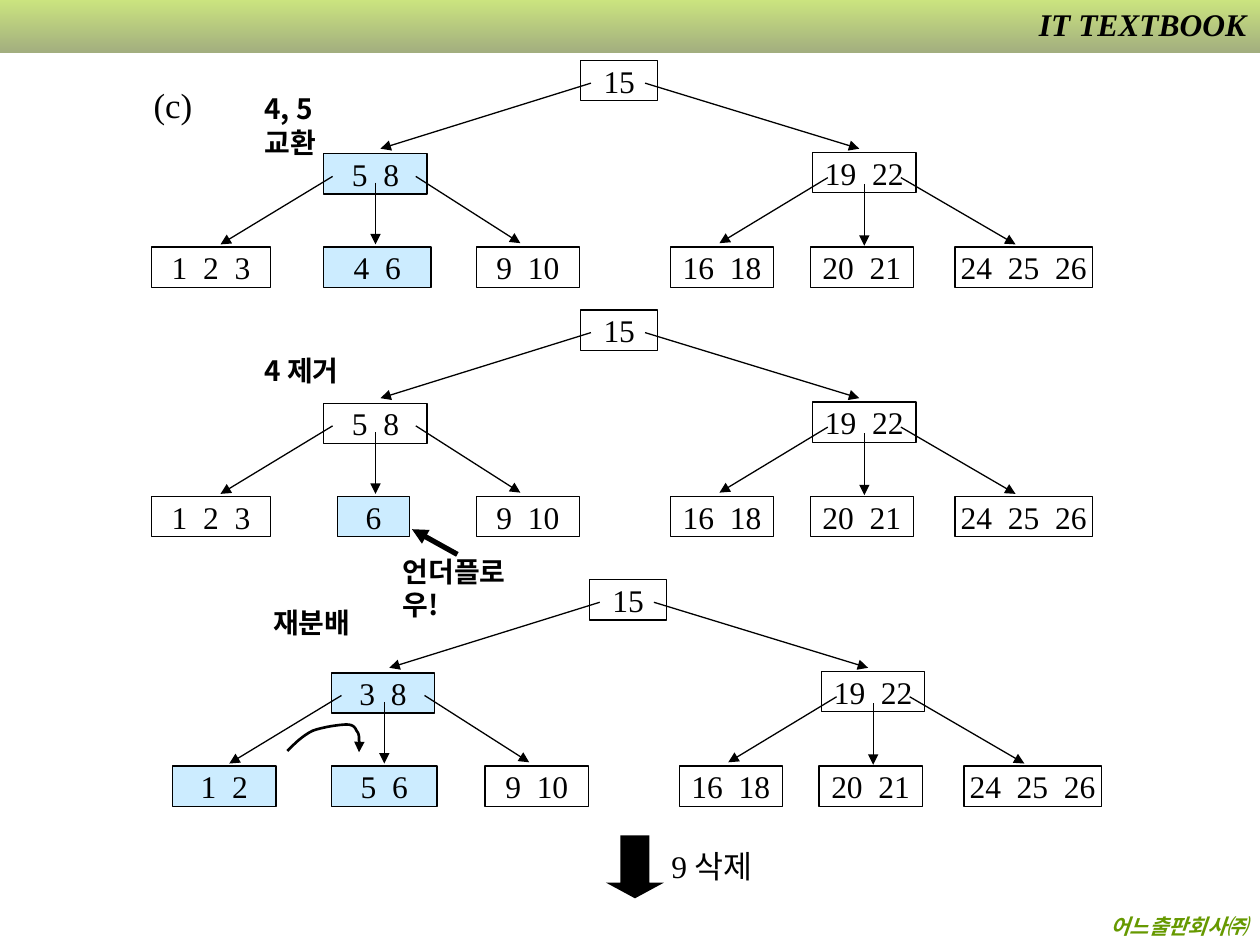
import pptx
import pptx.util
import pptx.dml.color
import pptx.enum.shapes
import pptx.enum.text
import pptx.oxml
import pptx.oxml.ns

COLUMNS, ROWS = 100, 75
WIDTH, HEIGHT = pptx.util.Inches(10), pptx.util.Inches(7.5)
LATIN, KOREAN = "Times New Roman", "Noto Sans CJK KR"
BLACK, HIGHLIGHT = "000000", "CCECFF"
SHAPES = pptx.enum.shapes.MSO_SHAPE
ALIGN = pptx.enum.text.PP_ALIGN
NODE_HEIGHT = 3.2
FIXED_NODES = [
    ("15", 46.1, 4.8, 6.1), ("19  22", 64.5, 12.1, 8.2),
    ("9  10", 37.8, 19.6, 8.2), ("16  18", 53.2, 19.6, 8.2),
    ("20  21", 64.3, 19.6, 8.2), ("24  25  26", 75.8, 19.6, 10.9),
]
BRANCHES = [
    (46.9, 6.6, 30.2, 11.8), (51.2, 6.6, 68.2, 11.8),
    (26.4, 14, 17.5, 19.4), (29.8, 14.5, 29.8, 19.4), (33, 14, 41.3, 19.3),
    (65.7, 14.1, 57.1, 19.3), (68.6, 14.6, 68.6, 19.5), (71.5, 14.1, 80.6, 19.4),
]
TREES = [
    (0, 0, [("5  8", 25.7, 12.2, 8.2, HIGHLIGHT), ("1  2  3", 12, 19.6, 9.5),
            ("4  6", 25.7, 19.6, 8.5, HIGHLIGHT)]),
    (0, 19.8, [("5  8", 25.7, 12.2, 8.2), ("1  2  3", 12, 19.6, 9.5),
               ("6", 26.8, 19.6, 5.7, HIGHLIGHT)]),
    (0.7, 41.2, [("3  8", 25.6, 12.2, 8.2, HIGHLIGHT), ("1  2", 13, 19.6, 8.2, HIGHLIGHT),
                 ("5  6", 25.6, 19.6, 8.4, HIGHLIGHT)]),
]
CAPTIONS = [("4, 5 교환", 20, 6.8, 9.5), ("4 제거", 20, 27.6, 9.5),
            ("재분배", 20.7, 47.6, 9), ("언더플로우!", 31, 43.5, 12)]
MOVE_CURVE = [
    (22.8, 59.6), (23.4, 59), (24, 58.4), (24.8, 58), (25.6, 57.7), (27, 57.5),
    (27.5, 57.5), (28.1, 57.5), (28.2, 57.8), (28.3, 58), (28.5, 58.2),
    (28.5, 58.5), (28.5, 58.8), (28.6, 59.1), (28.5, 59.4), (28.5, 59.7),
]


def across(columns):
    return round(WIDTH * columns / COLUMNS)


def down(rows):
    return round(HEIGHT * rows / ROWS)


def area(column, row, columns, rows):
    return across(column), down(row), across(columns), down(rows)


def colour(code):
    return pptx.dml.color.RGBColor.from_string(code)


def element(xml):
    return pptx.oxml.parse_xml(xml.replace(" ", f" {pptx.oxml.ns.nsdecls('a')} ", 1))


def write(frame, text, size=18, font=LATIN, code=BLACK, bold=False, italic=False,
          align=ALIGN.LEFT, shadow=False):
    para = frame.paragraphs[0]
    para.alignment = align
    span = para.add_run()
    span.text = text
    span.font.size = pptx.util.Pt(size)
    span.font.bold, span.font.italic = bold, italic
    span.font.color.rgb = colour(code)
    span.font.name = font
    properties = span._r.get_or_add_rPr()
    properties.append(element(f'<a:ea typeface="{KOREAN}"/>'))
    if shadow:
        properties.find(pptx.oxml.ns.qn("a:latin")).addprevious(element(
            '<a:effectLst ><a:outerShdw dist="17961" dir="2700000">'
            '<a:srgbClr val="FFFFFF"/></a:outerShdw></a:effectLst>'))


def add_text(page, text, place, wrap=True, **style):
    frame = page.shapes.add_textbox(*area(*place)).text_frame
    frame.word_wrap = wrap
    write(frame, text, **style)
    return frame


def add_block(page, kind, place, fill=None, outline=None):
    block = page.shapes.add_shape(kind, *area(*place))
    block.shadow.inherit = False
    if fill:
        block.fill.solid()
        block.fill.fore_color.rgb = colour(fill)
    else:
        block.fill.background()
    if outline:
        block.line.color.rgb = colour(BLACK)
        block.line.width = pptx.util.Pt(outline)
    else:
        block.line.fill.background()
    return block


def add_node(page, text, column, row, columns, fill=None):
    block = add_block(page, SHAPES.RECTANGLE, (column, row, columns, NODE_HEIGHT), fill, 0.75)
    block.text_frame.word_wrap = False
    block.text_frame.vertical_anchor = pptx.enum.text.MSO_ANCHOR.MIDDLE
    write(block.text_frame, text, align=ALIGN.CENTER)


def finish_arrow(arrow, weight):
    arrow.line.color.rgb = colour(BLACK)
    arrow.line.width = pptx.util.Pt(weight)
    arrow.line._get_or_add_ln().append(element('<a:tailEnd type="triangle"/>'))


def add_arrow(page, start_column, start_row, end_column, end_row, weight=0.75):
    arrow = page.shapes.add_connector(
        pptx.enum.shapes.MSO_CONNECTOR.STRAIGHT, across(start_column), down(start_row),
        across(end_column), down(end_row))
    finish_arrow(arrow, weight)
    arrow._element.spPr.append(element("<a:effectLst />"))


def add_tree(page, right, lower, nodes):
    for text, column, row, columns, *fill in FIXED_NODES + nodes:
        add_node(page, text, column + right, row + lower, columns, *fill)
    for x1, y1, x2, y2 in BRANCHES:
        add_arrow(page, x1 + right, y1 + lower, x2 + right, y2 + lower)


def add_curve(page, points, steps=8):
    sampled = []
    for first in range(0, len(points) - 1, 3):
        a, b, c, d = points[first:first + 4]
        for step in range(1, steps + 1):
            t = step / steps
            x, y = [(1 - t) ** 3 * p + 3 * (1 - t) ** 2 * t * q + 3 * (1 - t) * t ** 2 * r + t ** 3 * s
                    for p, q, r, s in zip(a, b, c, d)]
            sampled.append((across(x), down(y)))
    builder = page.shapes.build_freeform(across(points[0][0]), down(points[0][1]))
    builder.add_line_segments(sampled, close=False)
    curve = builder.convert_to_shape()
    curve.shadow.inherit = False
    curve.fill.background()
    finish_arrow(curve, 1.5)


def add_banner(page):
    banner = add_block(page, SHAPES.RECTANGLE, (0, 0, COLUMNS, 4.2))
    banner.fill.gradient()
    banner.fill.gradient_angle = 270
    for stop, code in zip(banner.fill.gradient_stops, ("99CC00", "475E00")):
        stop.color.rgb = colour(code)
    for shade in banner._element.spPr.iter(pptx.oxml.ns.qn("a:srgbClr")):
        shade.append(element('<a:alpha val="50000"/>'))
    add_text(page, "IT TEXTBOOK", (78.8, -0.1, 21.1, 4), bold=True, italic=True,
             align=ALIGN.RIGHT, shadow=True)


def main():
    deck = pptx.Presentation()
    deck.slide_width, deck.slide_height = WIDTH, HEIGHT
    page = deck.slides.add_slide(deck.slide_layouts[6])
    add_banner(page)
    add_text(page, "어느출판회사㈜", (0.6, 72, 99.4, 3), size=12, code="669900",
             bold=True, italic=True, align=ALIGN.RIGHT)
    for tree in TREES:
        add_tree(page, *tree)
    add_text(page, "(c)", (11.2, 6.1, 5.1, 4.4), wrap=False, size=20)
    for text, column, row, columns in CAPTIONS:
        add_text(page, text, (column, row, columns, 3.7), size=16, font=KOREAN, bold=True)
    add_arrow(page, 36.3, 44, 32.7, 42, weight=3)
    add_curve(page, MOVE_CURVE)
    next_step = add_block(page, SHAPES.DOWN_ARROW, (48.1, 66.3, 4.6, 5), BLACK)
    next_step.adjustments[0], next_step.adjustments[1] = 0.5, 0.27
    frame = add_text(page, "9 ", (52.3, 66.7, 9.1, 4), wrap=False)
    write(frame, "삭제", font=KOREAN)
    deck.save("out.pptx")


if __name__ == "__main__":
    main()
